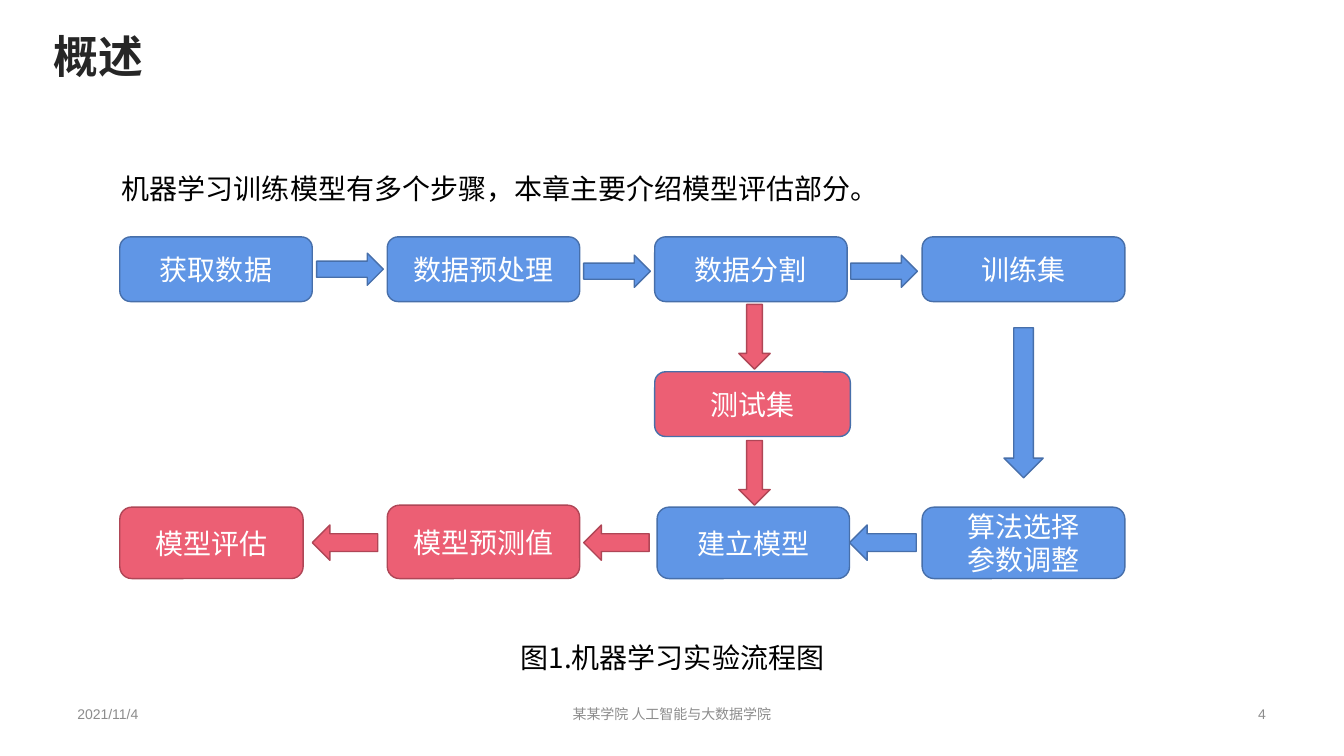
from dataclasses import dataclass

from lxml.etree import SubElement
from pptx import Presentation
from pptx.dml.color import RGBColor as Rgb
from pptx.enum.shapes import MSO_SHAPE as Kind
from pptx.enum.text import MSO_ANCHOR as Anchor, MSO_AUTO_SIZE as Auto, PP_ALIGN as Align
from pptx.oxml.ns import qn
from pptx.util import Cm, Pt

HUES = {
    "blue": "6096E6",
    "navy": "476FAA",
    "red": "EC5F74",
    "wine": "AF4656",
    "white": "FFFFFF",
    "black": "000000",
    "dark": "262626",
    "gray": "8C8C8C",
}
NOTO = "Noto Sans CJK SC"
LEFT, STEP = 3.02, 6.74
TOP, MID, LOW = 5.97, 9.37, 12.78
COLS = [LEFT + STEP * i for i in range(4)]


@dataclass(frozen=True)
class Node:
    text: str
    x: float
    y: float
    w: float = 4.85
    h: float = 1.63
    fill: str = "blue"
    line: str = "navy"


@dataclass(frozen=True)
class Arrow:
    kind: Kind
    x: float
    y: float
    w: float
    h: float
    fill: str = "blue"
    line: str = "navy"


@dataclass(frozen=True)
class Label:
    text: str
    x: float
    y: float
    w: float
    h: float
    size: int = 20
    hue: str = "black"
    font: str = NOTO
    align: Align = Align.LEFT


NODES = [
    Node("获取数据", COLS[0], TOP),
    Node("数据预处理", COLS[1], TOP),
    Node("数据分割", COLS[2], TOP),
    Node("训练集", COLS[3], TOP, 5.11),
    Node("测试集", COLS[2], MID, 4.93, fill="red"),
    Node("算法选择\n参数调整", COLS[3], LOW, 5.11, 1.8),
    Node("建立模型", 16.56, LOW, h=1.8),
    Node("模型预测值", COLS[1], 12.73, h=1.85, fill="red", line="wine"),
    Node("模型评估", COLS[0], LOW, 4.62, 1.8, "red", "wine"),
]

ARROWS = [
    *(Arrow(Kind.RIGHT_ARROW, 7.98 + 6.73 * i, y, 1.68, 0.81)
      for i, y in enumerate((6.38, 6.43, 6.43))),
    Arrow(Kind.DOWN_ARROW, 25.3, 8.26, 0.99, 3.78),
    Arrow(Kind.LEFT_ARROW, 21.41, 13.23, 1.68, 0.89),
    *(Arrow(Kind.DOWN_ARROW, 18.62, y, 0.79, 1.63, "red", "wine")
      for y in (7.67, 11.1)),
    *(Arrow(Kind.LEFT_ARROW, x, 13.23, 1.65, 0.89, "red", "wine")
      for x in (14.71, 7.87)),
]

LABELS = [
    Label("机器学习训练模型有多个步骤，本章主要介绍模型评估部分。", 2.82, 4.19, 20.09, 1.12),
    Label("图1.机器学习实验流程图", 7.65, 16, 18.59, 1.12, align=Align.CENTER),
    Label("2021/11/4", 1.7, 17.55, 7.49, 0.89, 10, "gray", "Arial"),
    Label("某某学院 人工智能与大数据学院", 11.43, 17.55, 11, 0.89, 10, "gray", "Arial", Align.CENTER),
    Label("4", 24.66, 17.55, 7.49, 0.89, 10, "gray", "Arial", Align.RIGHT),
]


def color(name: str) -> Rgb:
    return Rgb.from_string(HUES[name])


def write(frame, text: str, size: int, hue: str, font: str, align: Align, bold: bool = False) -> None:
    frame.text = text
    frame.vertical_anchor = Anchor.MIDDLE
    for para in frame.paragraphs:
        para.alignment = align
        for run in para.runs:
            run.font.size = Pt(size)
            run.font.bold = bold
            run.font.name = font
            run.font.color.rgb = color(hue)
            if font == NOTO:
                SubElement(run.font._element, qn("a:ea"), typeface=font)


def draw(slide, kind: Kind, item: Node | Arrow):
    shape = slide.shapes.add_shape(kind, Cm(item.x), Cm(item.y), Cm(item.w), Cm(item.h))
    shape.shadow.inherit = False
    shape.fill.solid()
    shape.fill.fore_color.rgb = color(item.fill)
    shape.line.color.rgb = color(item.line)
    shape.line.width = Pt(1)
    return shape


def add_node(slide, node: Node) -> None:
    frame = draw(slide, Kind.ROUNDED_RECTANGLE, node).text_frame
    frame.word_wrap = True
    write(frame, node.text, 20, "white", NOTO, Align.CENTER)
    if len(frame.paragraphs) > 1:
        for para in frame.paragraphs:
            para.line_spacing = Pt(24)


def add_label(slide, item: Label) -> None:
    box = slide.shapes.add_textbox(Cm(item.x), Cm(item.y), Cm(item.w), Cm(item.h))
    box.text_frame.word_wrap = True
    write(box.text_frame, item.text, item.size, item.hue, item.font, item.align)


def add_title(slide, text: str) -> None:
    title = slide.shapes.title
    title.left, title.top, title.width, title.height = Cm(1.09), Cm(0.58), Cm(2.79), Cm(1.63)
    write(title.text_frame, text, 32, "dark", NOTO, Align.LEFT, True)
    title.text_frame.word_wrap = False
    title.text_frame.auto_size = Auto.NONE


def main() -> None:
    deck = Presentation()
    deck.slide_width, deck.slide_height = Cm(33.87), Cm(19.05)
    slide = deck.slides.add_slide(deck.slide_layouts[5])
    add_title(slide, "概述")
    for node in NODES:
        add_node(slide, node)
    for arrow in ARROWS:
        draw(slide, arrow.kind, arrow)
    for label in LABELS:
        add_label(slide, label)
    deck.save("out.pptx")


if __name__ == "__main__":
    main()
